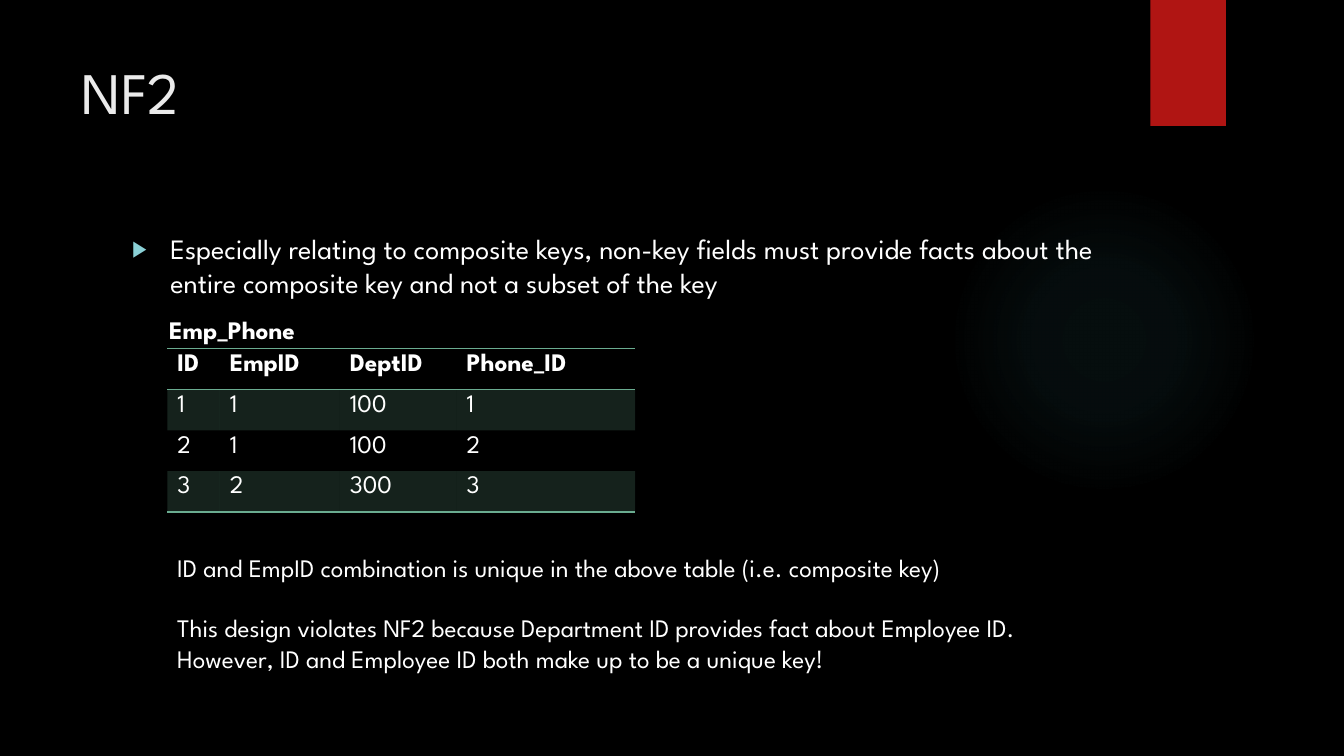
import pptx
import pptx.dml.color
import pptx.enum.shapes
import pptx.enum.text
import pptx.oxml
import pptx.oxml.ns
import pptx.util
from pptx.util import Inches

NO_STYLE_NO_GRID = "{2D5ABB26-0587-4C30-8999-92F81FD0307C}"
DRAWING = pptx.oxml.ns.nsdecls("a")


def color(code):
    return pptx.dml.color.RGBColor.from_string(code)


def make_xml(text):
    """Parse one DrawingML element whose opening tag holds {ns}."""
    return pptx.oxml.parse_xml(text.replace("{ns}", DRAWING))


def write(para, text, size=18, bold=False, code="FFFFFF", font="League Spartan"):
    span = para.add_run()
    span.text = text
    span.font.name = font
    span.font.size = pptx.util.Pt(size)
    span.font.bold = bold
    span.font.color.rgb = color(code)


class SlideBuilder:
    accent = "6AAC90"
    glow_color = "50B9C1"

    def __init__(self, deck):
        self.page = deck.slides.add_slide(deck.slide_layouts[1])
        background = self.page.background.fill
        background.solid()
        background.fore_color.rgb = color("000000")

    def backdrop(self, kind, area):
        """Add a borderless shape behind everything else."""
        shape = self.page.shapes.add_shape(kind, *map(Inches, area))
        shape.shadow.inherit = False
        shape.line.fill.background()
        shape._element.getparent().insert(2, shape._element)
        return shape

    def ribbon(self, area, code):
        shape = self.backdrop(pptx.enum.shapes.MSO_SHAPE.RECTANGLE, area)
        shape.fill.solid()
        shape.fill.fore_color.rgb = color(code)

    def glow(self, area, stops):
        """Add a circle fading outwards; stops are (position, opacity) percentages."""
        shape = self.backdrop(pptx.enum.shapes.MSO_SHAPE.OVAL, area)
        marks = "".join(
            f'<a:gs pos="{position * 1000}"><a:srgbClr val="{self.glow_color}">'
            f'<a:alpha val="{opacity * 1000}"/></a:srgbClr></a:gs>'
            for position, opacity in stops)
        gradient = make_xml(
            f'<a:gradFill {{ns}} rotWithShape="1"><a:gsLst>{marks}</a:gsLst><a:path path="circle">'
            '<a:fillToRect l="50000" t="50000" r="50000" b="50000"/></a:path></a:gradFill>')
        shape._element.spPr.find(pptx.oxml.ns.qn("a:prstGeom")).addnext(gradient)

    def placeholder(self, index, area):
        """Move a template placeholder and return its first paragraph."""
        box = self.page.placeholders[index]
        box.left, box.top, box.width, box.height = map(Inches, area)
        frame = box.text_frame
        frame.vertical_anchor = pptx.enum.text.MSO_ANCHOR.TOP
        frame.auto_size = pptx.enum.text.MSO_AUTO_SIZE.NONE
        para = frame.paragraphs[0]
        para.alignment = pptx.enum.text.PP_ALIGN.LEFT
        return para

    def title(self, text, area):
        write(self.placeholder(0, area), text, size=42, code="EBEBEB")

    def bullet(self, text, area):
        para = self.placeholder(1, area)
        para.space_before = pptx.util.Pt(10)
        settings = para._p.get_or_add_pPr()
        settings.set("marL", str(Inches(0.38)))
        settings.set("indent", str(Inches(-0.38)))
        for part in ('<a:buClr {ns}><a:srgbClr val="8AD0D6"/></a:buClr>',
                     '<a:buSzPct {ns} val="80000"/>',
                     '<a:buFont {ns} typeface="Arial"/>',
                     '<a:buChar {ns} char="▶"/>'):
            settings.append(make_xml(part))
        write(para, text, size=20)

    def text(self, paragraphs, area, wrap=True, gap=0, **style):
        frame = self.page.shapes.add_textbox(*map(Inches, area)).text_frame
        frame.word_wrap = wrap
        for number, text in enumerate(paragraphs):
            para = frame.add_paragraph() if number else frame.paragraphs[0]
            para.space_before = pptx.util.Pt(gap if number else 0)
            write(para, text, **style)

    def table(self, rows, area, widths):
        """Add a table with a ruled header, shaded odd rows and a closing rule."""
        grid = self.page.shapes.add_table(len(rows), len(widths), *map(Inches, area)).table
        grid._tbl.tblPr.find(pptx.oxml.ns.qn("a:tableStyleId")).text = NO_STYLE_NO_GRID
        for column, width in zip(grid.columns, widths):
            column.width = Inches(width)
        for number, row in enumerate(rows):
            header = number == 0
            for cell, value in zip(grid.rows[number].cells, row):
                write(cell.text_frame.paragraphs[0], value, bold=header)
                self.shade(cell, number % 2 == 1)
                sides = ("T", "B") if header else ("B",) if number == len(rows) - 1 else ()
                self.rule(cell, sides)

    def shade(self, cell, shaded):
        if not shaded:
            cell.fill.background()
            return
        cell.fill.solid()
        cell.fill.fore_color.rgb = color(self.accent)
        tone = cell._tc.tcPr.find(".//" + pptx.oxml.ns.qn("a:srgbClr"))
        tone.append(make_xml('<a:alpha {ns} val="20000"/>'))

    def rule(self, cell, sides):
        for position, side in enumerate(sides):
            cell._tc.tcPr.insert(position, make_xml(
                f'<a:ln{side} {{ns}} w="12700"><a:solidFill><a:srgbClr val="{self.accent}"/>'
                f'</a:solidFill></a:ln{side}>'))


def main():
    deck = pptx.Presentation()
    deck.slide_width, deck.slide_height = Inches(13.33), Inches(7.5)
    slide = SlideBuilder(deck)
    slide.ribbon((11.41, 0, 0.75, 1.25), "B01513")
    slide.glow((9.41, 1.83, 3.08, 3.08), [(0, 7), (36, 6), (69, 0)])
    slide.title("NF2", (0.71, 0.5, 10.29, 1.53))
    slide.bullet("Especially relating to composite keys, non-key fields must provide facts "
                 "about the entire composite key and not a subset of the key",
                 (1.21, 2.25, 9.78, 4.59))
    slide.table([("ID", "EmpID", "DeptID", "Phone_ID"),
                 ("1", "1", "100", "1"),
                 ("2", "1", "100", "2"),
                 ("3", "2", "300", "3")],
                (1.66, 3.46, 4.64, 1.62), (0.52, 1.19, 1.16, 1.77))
    slide.text(["Emp_Phone"], (1.58, 3.07, 1.63, 0.4), wrap=False, bold=True)
    slide.text(["ID and EmpID combination is unique in the above table (i.e. composite key)",
                "This design violates NF2 because Department ID provides fact about Employee ID. "
                "However, ID and Employee ID both make up to be a unique key!"],
               (1.66, 5.43, 8.7, 1.92), gap=21.5)
    deck.save("out.pptx")


if __name__ == "__main__":
    main()
